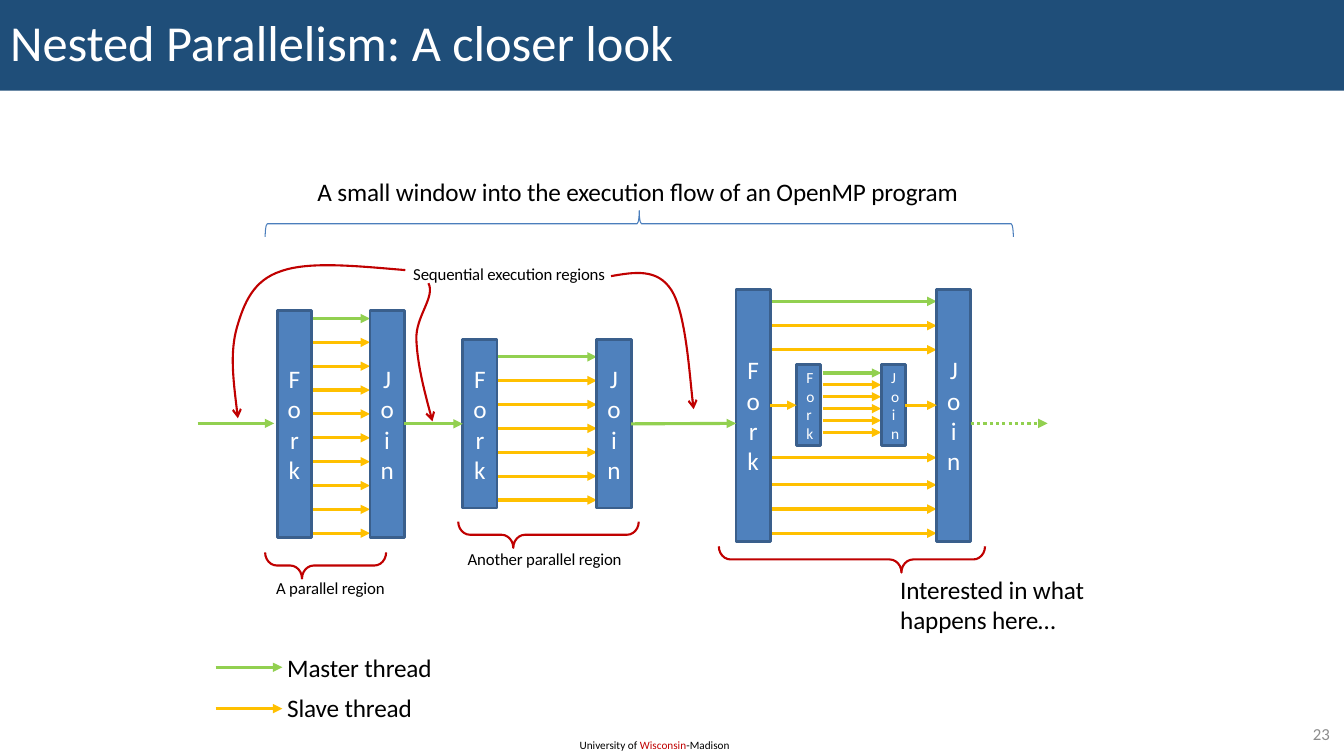
"""Build the slide on nested fork and join regions."""
from dataclasses import dataclass
from typing import Any, Optional

from lxml import etree
from pptx import Presentation
from pptx.dml import color as dml
from pptx.enum import dml as dash, shapes, text
from pptx.oxml import ns
from pptx import util as u

HUES = {
    "banner": "1F4E79", "bar": "4F81BD", "edge": "3A5F8C", "brace": "4B7EBC",
    "master": "92D050", "slave": "FFC000", "red": "C00000",
    "ink": "000000", "white": "FFFFFF", "gray": "8C8C8C",
}
LEFT, CENTER, RIGHT = text.PP_ALIGN.LEFT, text.PP_ALIGN.CENTER, text.PP_ALIGN.RIGHT
MIDDLE, TOP = text.MSO_ANCHOR.MIDDLE, text.MSO_ANCHOR.TOP
FLOW = 4.2


@dataclass
class Bar:
    """A fork or join block."""
    label: str
    left: float
    top: float
    width: float
    height: float
    size: int = 18
    edge: float = 2
    align: Any = CENTER


@dataclass
class Rungs:
    """Evenly spaced threads between two bars."""
    start: float
    end: float
    first: float
    last: float
    count: int
    led: bool = True


@dataclass
class Link:
    """A thread arrow, joined to bars where these are named."""
    start: float
    end: float
    y: float
    hue: str = "master"
    source: Optional[str] = None
    target: Optional[str] = None
    dotted: bool = False


@dataclass
class Brace:
    """A turned brace, given by its box before the turn."""
    left: float
    top: float
    width: float
    height: float
    turn: int = 270
    bend: tuple = (0.449, 0.305)
    hue: str = "red"
    weight: float = 1.5


@dataclass
class Note:
    """A text box with coloured runs."""
    runs: list
    left: float
    top: float
    width: float
    height: float
    size: int = 18
    wrap: bool = False
    align: Any = LEFT
    anchor: Any = TOP
    space: str = "-10"


def stack(word: str) -> str:
    """Put each letter on its own line."""
    return "\v".join(word)


BARS = {
    "fork1": Bar(stack("Fork"), 2.75, 3.08, 0.34, 2.25),
    "join1": Bar(stack("Join"), 3.67, 3.08, 0.34, 2.25),
    "fork2": Bar(stack("Fork"), 4.59, 3.37, 0.34, 1.67),
    "join2": Bar(stack("Join"), 5.92, 3.37, 0.34, 1.67),
    "fork3": Bar(stack("Fork"), 7.3, 2.87, 0.34, 2.5),
    "join3": Bar("Join", 9.29, 2.87, 0.34, 2.5),
    "fork4": Bar("Fork", 7.9, 3.62, 0.24, 0.8, 11, 2.25, RIGHT),
    "join4": Bar("Join", 8.74, 3.62, 0.24, 0.8, 11, 2.25, RIGHT),
}
RUNGS = [
    Rungs(3.09, 3.67, 3.16, 5.29, 10),
    Rungs(4.92, 5.92, 3.54, 4.96, 7),
    Rungs(8.16, 8.74, 3.7, 4.29, 6),
    Rungs(7.64, 9.29, 2.99, 3.47, 3),
    Rungs(7.64, 9.29, 4.54, 4.54, 1, False),
    Rungs(7.64, 9.29, 4.81, 5.29, 3, False),
]
LINKS = [
    Link(1.96, 2.72, FLOW),
    Link(4.01, 4.59, FLOW, source="join1", target="fork2"),
    Link(6.26, 7.3, FLOW, source="join2"),
    Link(9.63, 10.39, FLOW, dotted=True),
    Link(7.64, 7.9, 4.02, "slave", target="fork4"),
    Link(8.98, 9.29, 4.02, "slave", source="join4"),
    Link(2.14, 2.8, 6.62),
    Link(2.14, 2.8, 7.03, "slave"),
]
BRACES = [
    Brace(6.21, -1.49, 0.26, 7.42, 90, (0.083, 0.5), "brace", 0.75),
    Brace(8.32, 4.23, 0.26, 2.64, bend=(0.449, 0.686)),
    Brace(3.1, 5.01, 0.26, 1.2),
    Brace(5.31, 4.41, 0.26, 1.79),
]
CURVES = [
    [(4.25, 2.81), (4.32, 2.95), (4.12, 3.14), (4.13, 3.37),
     (4.14, 3.6), (4.21, 3.89), (4.29, 4.18)],
    [(4.02, 2.68), (3.54, 2.64), (3.07, 2.59), (2.79, 2.69), (2.51, 2.78),
     (2.42, 3.01), (2.35, 3.25), (2.28, 3.5), (2.32, 3.82), (2.36, 4.15)],
    [(6.06, 2.74), (6.29, 2.7), (6.52, 2.66), (6.66, 2.88),
     (6.8, 3.1), (6.85, 3.86), (6.88, 4.06)],
]
NOTES = [
    Note([("Master thread", "ink")], 2.75, 6.42, 1.66, 0.4),
    Note([("Slave thread", "ink")], 2.75, 6.82, 1.46, 0.4),
    Note([("A small window into the execution flow of an OpenMP program", "ink")],
         3.05, 1.7, 6.68, 0.4),
    Note([("Interested in what happens here…", "ink")], 8.83, 5.65, 2.08, 0.71, wrap=True),
    Note([("A parallel region", "ink")], 2.64, 5.68, 1.3, 0.3, 12),
    Note([("Another parallel region", "ink")], 4.54, 5.39, 1.76, 0.3, 12),
    Note([("Sequential execution regions", "ink")], 4, 2.57, 2.15, 0.3, 12),
    Note([("University of ", "ink"), ("Wisconsin", "red"), ("-Madison", "ink")],
         5.65, 7.28, 1.72, 0.24, 8, True, space="0"),
    Note([("23", "gray")], 12.53, 7.13, 0.76, 0.29, 12, True, RIGHT, MIDDLE, "0"),
]


def apply(thing: Any, values: dict) -> None:
    """Set each named value on a thing."""
    for name, value in values.items():
        setattr(thing, name, value)


def box(*sides: float) -> list:
    """Turn inches into lengths."""
    return [u.Inches(side) for side in sides]


def tint(hue: str) -> dml.RGBColor:
    """Look up a colour."""
    return dml.RGBColor.from_string(HUES[hue])


def paint(fill: Any, hue: str) -> None:
    """Make a fill solid."""
    fill.solid()
    fill.fore_color.rgb = tint(hue)


def stroke(shape: Any, hue: str, weight: float, head: str = "") -> None:
    """Set the line of a shape and its arrowhead."""
    paint(shape.line.fill, hue)
    shape.line.width = u.Pt(weight)
    if head:
        etree.SubElement(shape.line._get_or_add_ln(), ns.qn("a:tailEnd"), type=head)


def write(frame: Any, runs: list, size: int, align: Any, space: str = "0") -> None:
    """Fill the first line of a frame with runs."""
    line = frame.paragraphs[0]
    line.alignment = align
    for words, hue in runs:
        for part, piece in enumerate(words.split("\v")):
            if part:
                line.add_line_break()
            run = line.add_run()
            run.text = piece
            apply(run.font, {"name": "Calibri", "size": u.Pt(size)})
            run.font.color.rgb = tint(hue)
            run.font._element.set("spc", space)


def draw_link(slide: Any, link: Link, blocks: dict) -> None:
    """Draw a thread arrow."""
    ends = box(link.start, link.y, link.end, link.y)
    line = slide.shapes.add_connector(shapes.MSO_CONNECTOR.STRAIGHT, *ends)
    stroke(line, link.hue, 2.25)
    if link.dotted:
        line.line.dash_style = dash.MSO_LINE.ROUND_DOT
    etree.SubElement(line.line._get_or_add_ln(), ns.qn("a:tailEnd"), type="triangle")
    etree.SubElement(line._element.spPr, ns.qn("a:effectLst"))
    if link.source:
        line.begin_connect(blocks[link.source], 3)
    if link.target:
        line.end_connect(blocks[link.target], 1)


def draw_rungs(slide: Any, rungs: Rungs) -> None:
    """Draw a group of threads, the master first."""
    step = (rungs.last - rungs.first) / max(rungs.count - 1, 1)
    for index in range(rungs.count):
        hue = "master" if rungs.led and index == 0 else "slave"
        draw_link(slide, Link(rungs.start, rungs.end, rungs.first + index * step, hue), {})


def draw_bar(slide: Any, bar: Bar) -> Any:
    """Draw a fork or join block."""
    place = box(bar.left, bar.top, bar.width, bar.height)
    shape = slide.shapes.add_shape(shapes.MSO_SHAPE.RECTANGLE, *place)
    shape.shadow.inherit = False
    paint(shape.fill, "bar")
    stroke(shape, "edge", bar.edge)
    apply(shape.text_frame, {"word_wrap": True, "vertical_anchor": MIDDLE})
    write(shape.text_frame, [(bar.label, "white")], bar.size, bar.align)
    return shape


def draw_brace(slide: Any, brace: Brace) -> None:
    """Draw a turned brace."""
    place = box(brace.left, brace.top, brace.width, brace.height)
    shape = slide.shapes.add_shape(shapes.MSO_SHAPE.LEFT_BRACE, *place)
    shape.rotation = brace.turn
    shape.shadow.inherit = False
    shape.fill.background()
    for index, value in enumerate(brace.bend):
        shape.adjustments[index] = value
    stroke(shape, brace.hue, brace.weight)


def draw_curve(slide: Any, points: list) -> None:
    """Draw a red arrow along cubic curves."""
    start, *rest = [box(*point) for point in points]
    pen = slide.shapes.build_freeform(*start)
    pen.add_line_segments(rest, close=False)
    shape = pen.convert_to_shape()
    shape.shadow.inherit = False
    shape.fill.background()
    stroke(shape, "red", 1.5, "arrow")
    track = next(shape._element.iter(ns.qn("a:path")))
    steps = track.findall(ns.qn("a:lnTo"))
    for index in range(0, len(steps), 3):
        curve = etree.SubElement(track, ns.qn("a:cubicBezTo"))
        for step in steps[index:index + 3]:
            curve.append(step[0])
            track.remove(step)


def draw_note(slide: Any, note: Note) -> None:
    """Draw a text box."""
    frame = slide.shapes.add_textbox(*box(note.left, note.top, note.width, note.height)).text_frame
    apply(frame, {"word_wrap": note.wrap, "vertical_anchor": note.anchor})
    write(frame, note.runs, note.size, note.align, note.space)


def draw_title(slide: Any) -> None:
    """Format the title as a banner."""
    title = slide.shapes.title
    apply(title, dict(zip(("left", "top", "width", "height"), box(0, 0, 13.33, 0.9))))
    paint(title.fill, "banner")
    apply(title.text_frame, {"vertical_anchor": MIDDLE, "auto_size": text.MSO_AUTO_SIZE.NONE})
    write(title.text_frame, [("Nested Parallelism: A closer look", "white")], 36, LEFT)
    title.text_frame.paragraphs[0].line_spacing = 0.9


def main() -> None:
    """Build and save the deck."""
    deck = Presentation()
    apply(deck, {"slide_width": u.Inches(13.33), "slide_height": u.Inches(7.5)})
    slide = deck.slides.add_slide(deck.slide_layouts[5])
    draw_title(slide)
    for rungs in RUNGS:
        draw_rungs(slide, rungs)
    blocks = {name: draw_bar(slide, bar) for name, bar in BARS.items()}
    for link in LINKS:
        draw_link(slide, link, blocks)
    for draw, group in ((draw_brace, BRACES), (draw_curve, CURVES), (draw_note, NOTES)):
        for entry in group:
            draw(slide, entry)
    deck.save("out.pptx")


if __name__ == "__main__":
    main()
